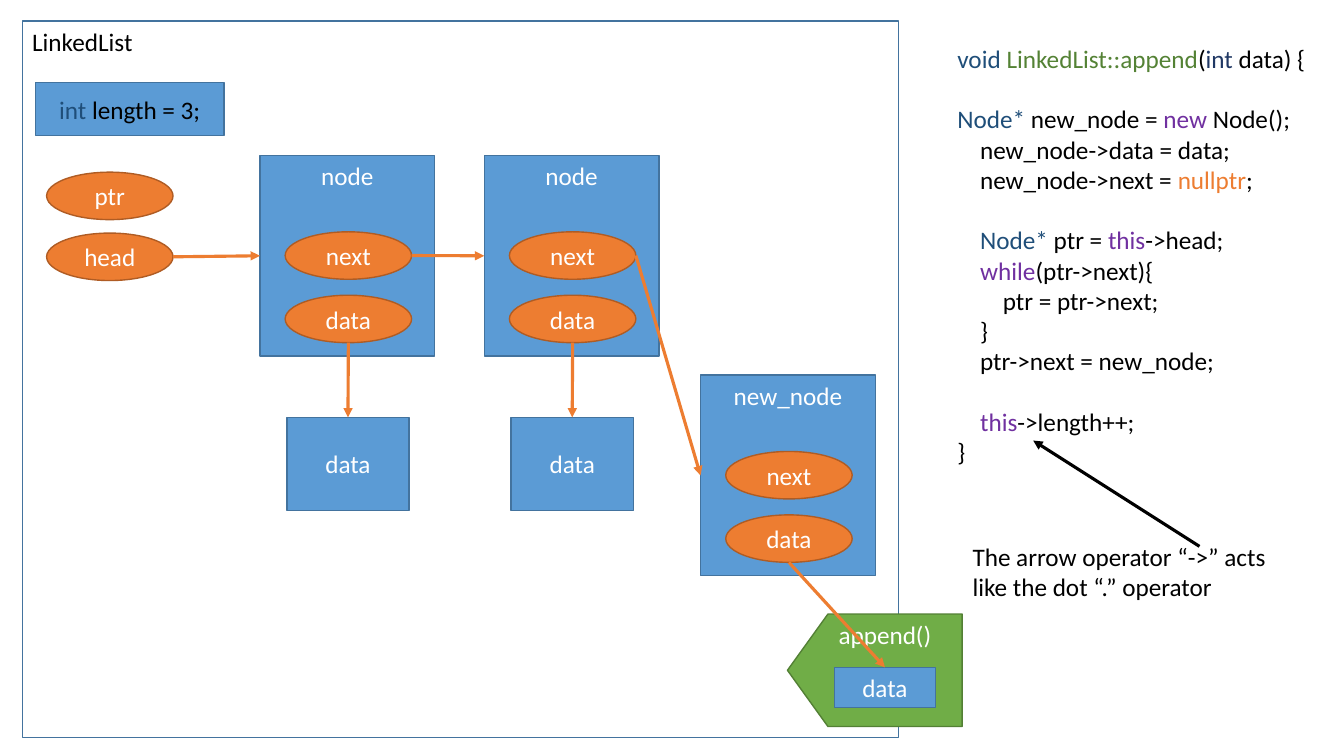
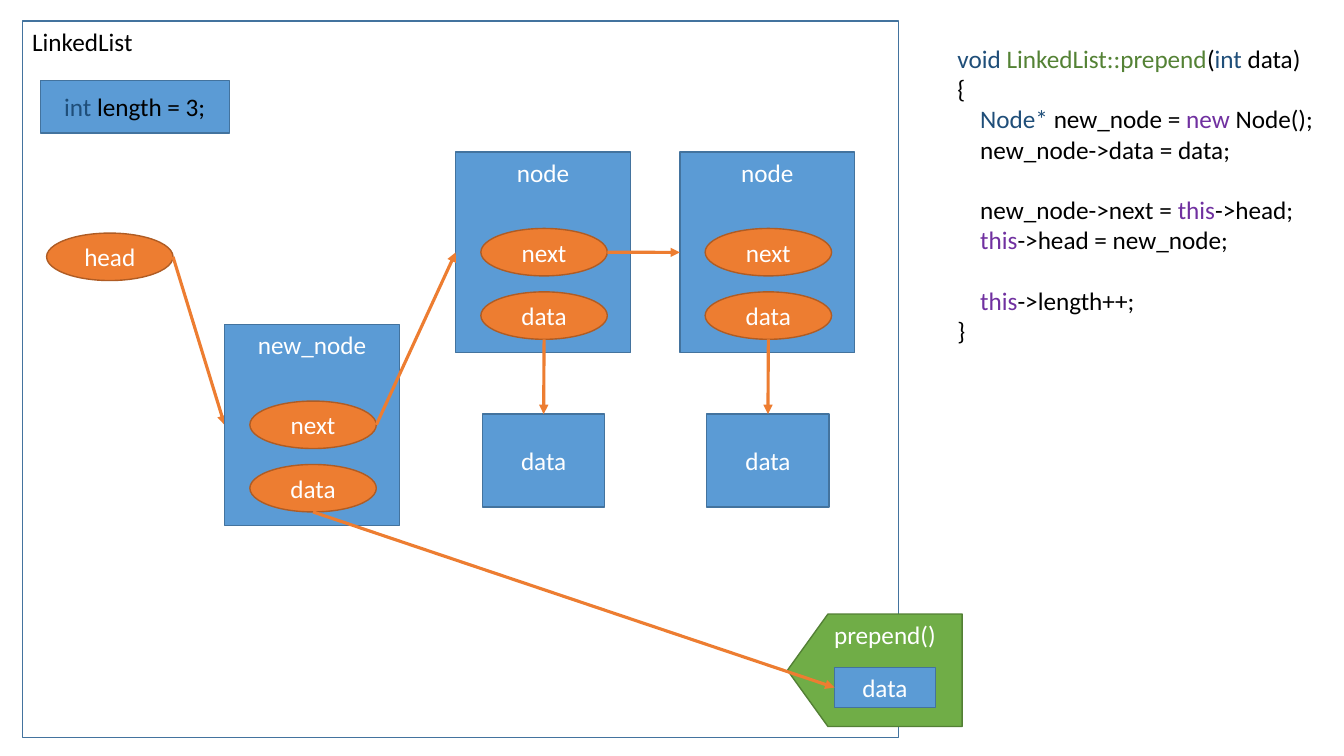
from dataclasses import dataclass
from typing import NamedTuple

from lxml.etree import SubElement
from pptx import Presentation
from pptx.dml.color import RGBColor
from pptx.enum.shapes import MSO_CONNECTOR, MSO_SHAPE
from pptx.enum.text import MSO_ANCHOR, MSO_AUTO_SIZE, PP_ALIGN
from pptx.oxml.ns import qn
from pptx.shapes.autoshape import Shape
from pptx.slide import Slide
from pptx.text.text import TextFrame
from pptx.util import Inches, Pt

SLIDE_WIDTH, SLIDE_HEIGHT = Inches(13.333), Inches(7.5)
COLUMNS, ROWS = 32, 18
FONT, TEXT_SIZE, CODE_GAP = "Calibri", Pt(18), Pt(21.6)
WHITE, BLACK = "FFFFFF", "000000"
BLUE, BLUE_EDGE = "5B9BD5", "43739E"
ORANGE, ORANGE_EDGE = "ED7D31", "AF5C24"
GREEN, GREEN_EDGE = "70AD47", "538035"
TYPE_BLUE, NAVY, METHOD_GREEN, KEYWORD_PURPLE = "1F4E79", "203864", "548235", "7030A0"
INDENT = "    "


class Point(NamedTuple):
    """A place on the grid, in columns and rows."""
    column: float
    row: float


class Run(NamedTuple):
    """A stretch of text in one colour."""
    text: str
    color: str = BLACK


class CodeLine(NamedTuple):
    """A line of code, with or without a gap above it."""
    runs: list[Run]
    gap: bool = False


@dataclass(frozen=True)
class Box:
    """A rectangle in columns and rows of the grid."""
    column: float
    row: float
    columns: float
    rows: float

    @property
    def left(self) -> Point:
        """Middle of the left edge."""
        return Point(self.column, self.row + self.rows / 2)

    @property
    def right(self) -> Point:
        """Middle of the right edge."""
        return Point(self.column + self.columns, self.row + self.rows / 2)

    @property
    def top(self) -> Point:
        """Middle of the top edge."""
        return Point(self.column + self.columns / 2, self.row)

    @property
    def bottom(self) -> Point:
        """Middle of the bottom edge."""
        return Point(self.column + self.columns / 2, self.row + self.rows)


@dataclass(frozen=True)
class Node:
    """A list node with its next and data pointers."""
    label: str
    column: float
    row: float

    @property
    def frame(self) -> Box:
        """Outline of the node."""
        return Box(self.column, self.row, 4.16, 4.78)

    @property
    def next(self) -> Box:
        """The next pointer."""
        return pointer_box(self.column + 0.6, self.row + 1.82)

    @property
    def data(self) -> Box:
        """The data pointer."""
        return pointer_box(self.column + 0.6, self.row + 3.33)

    @property
    def value(self) -> Box:
        """The data block below the node."""
        return Box(self.column + 0.64, self.row + 6.24, 2.91, 2.21)


def pointer_box(column: float, row: float) -> Box:
    """Box of a pointer ellipse."""
    return Box(column, row, 3.01, 1.13)


LIST_FRAME = Box(0.53, 0.5, 20.86, 17.06)
HEAD, POINTER = pointer_box(1.11, 5.55), pointer_box(1.11, 4.1)
CALL, ARGUMENT = Box(18.75, 14.62, 4.16, 2.68), Box(19.87, 15.89, 2.4, 0.96)
NODE_STEP = 5.34
INDENTED, THIS = Run(INDENT), Run("this", KEYWORD_PURPLE)
NODE_TYPE, NEW = Run("Node* ", TYPE_BLUE), Run("new", KEYWORD_PURPLE)
CREATE = [NODE_TYPE, Run("new_node = "), NEW, Run(" Node();")]
STORE = CodeLine([Run(INDENT + "new_node->data = data;")])
FINISH = [CodeLine([INDENTED, THIS, Run("->length++;")], gap=True), CodeLine([Run("}")])]


def signature(method: str, int_color: str, ending: str) -> CodeLine:
    """First line of a method of the list."""
    return CodeLine([Run("void ", TYPE_BLUE), Run(f"LinkedList::{method}", METHOD_GREEN),
                     Run("("), Run("int", int_color), Run(ending)])


APPEND_CODE = [
    signature("append", NAVY, " data) {"),
    CodeLine(CREATE, gap=True),
    STORE,
    CodeLine([Run(INDENT + "new_node->next = "), Run("nullptr", ORANGE), Run(";")]),
    CodeLine([INDENTED, NODE_TYPE, Run("ptr = "), THIS, Run("->head;")], gap=True),
    CodeLine([INDENTED, Run("while", KEYWORD_PURPLE), Run("(ptr->next){")]),
    CodeLine([Run(INDENT * 2 + "ptr = ptr->next;")]),
    CodeLine([Run(INDENT + "}")]),
    CodeLine([Run(INDENT + "ptr->next = new_node;")]),
    *FINISH,
]
PREPEND_CODE = [
    signature("prepend", TYPE_BLUE, " data)"),
    CodeLine([Run("{")]),
    CodeLine([INDENTED, *CREATE]),
    STORE,
    CodeLine([Run(INDENT + "new_node->next = "), THIS, Run("->head;")], gap=True),
    CodeLine([INDENTED, THIS, Run("->head = new_node;")]),
    *FINISH,
]


def rgb(color: str) -> RGBColor:
    """Colour from a hex string."""
    return RGBColor.from_string(color)


def across(columns: float) -> int:
    """Length of a number of columns."""
    return round(SLIDE_WIDTH * columns / COLUMNS)


def down(rows: float) -> int:
    """Length of a number of rows."""
    return round(SLIDE_HEIGHT * rows / ROWS)


def place(box: Box) -> tuple[int, int, int, int]:
    """Left, top, width and height of a box."""
    return across(box.column), down(box.row), across(box.columns), down(box.rows)


def write(frame: TextFrame, lines: list[CodeLine], align: PP_ALIGN = PP_ALIGN.LEFT) -> None:
    """Fill a text frame run by run."""
    for index, line in enumerate(lines):
        paragraph = frame.add_paragraph() if index else frame.paragraphs[0]
        paragraph.alignment = align
        if line.gap:
            paragraph.space_before = CODE_GAP
        for piece in line.runs:
            run = paragraph.add_run()
            run.text = piece.text
            run.font.name, run.font.size = FONT, TEXT_SIZE
            run.font.color.rgb = rgb(piece.color)


def add_block(slide: Slide, box: Box, runs: list[Run], kind: MSO_SHAPE = MSO_SHAPE.RECTANGLE,
              fill: str | None = BLUE, edge: str = BLUE_EDGE,
              anchor: MSO_ANCHOR = MSO_ANCHOR.MIDDLE,
              align: PP_ALIGN = PP_ALIGN.CENTER) -> Shape:
    """Draw a labelled shape."""
    shape = slide.shapes.add_shape(kind, *place(box))
    shape.shadow.inherit = False
    if fill:
        shape.fill.solid()
        shape.fill.fore_color.rgb = rgb(fill)
    else:
        shape.fill.background()
    shape.line.color.rgb = rgb(edge)
    shape.line.width = Pt(1)
    shape.text_frame.word_wrap = True
    shape.text_frame.vertical_anchor = anchor
    write(shape.text_frame, [CodeLine(runs)], align)
    return shape


def add_pointer(slide: Slide, box: Box, label: str) -> None:
    """Draw a pointer ellipse."""
    add_block(slide, box, [Run(label, WHITE)], MSO_SHAPE.OVAL, ORANGE, ORANGE_EDGE)


def add_arrow(slide: Slide, start: Point, end: Point, color: str = ORANGE) -> None:
    """Draw an arrow between two grid points."""
    connector = slide.shapes.add_connector(
        MSO_CONNECTOR.STRAIGHT, across(start.column), down(start.row),
        across(end.column), down(end.row))
    connector.line.color.rgb = rgb(color)
    connector.line.width = Pt(2.25)
    SubElement(connector.line._get_or_add_ln(), qn("a:tailEnd"), type="triangle")
    SubElement(connector._element.spPr, qn("a:effectLst"))


def add_node(slide: Slide, node: Node) -> None:
    """Draw a node and its two pointers."""
    add_block(slide, node.frame, [Run(node.label, WHITE)], anchor=MSO_ANCHOR.TOP)
    add_pointer(slide, node.data, "data")
    add_pointer(slide, node.next, "next")


def add_chain(slide: Slide, column: float, row: float) -> list[Node]:
    """Draw the two linked nodes with their data blocks."""
    nodes = [Node("node", column + index * NODE_STEP, row) for index in range(2)]
    for node in nodes:
        add_node(slide, node)
        add_block(slide, node.value, [Run("data", WHITE)])
        add_arrow(slide, node.data.bottom, node.value.top)
    add_arrow(slide, nodes[0].next.right, nodes[1].frame.left)
    return nodes


def add_text(slide: Slide, box: Box, lines: list[CodeLine], wrap: bool) -> None:
    """Draw a text box that grows with its text."""
    frame = slide.shapes.add_textbox(*place(box)).text_frame
    frame.word_wrap = wrap
    frame.auto_size = MSO_AUTO_SIZE.SHAPE_TO_FIT_TEXT
    write(frame, lines)


def add_call(slide: Slide, label: str) -> None:
    """Draw the method call with its argument."""
    plate = add_block(slide, CALL, [Run(label, WHITE)], MSO_SHAPE.PENTAGON, GREEN,
                      GREEN_EDGE, MSO_ANCHOR.TOP)
    plate.adjustments[0] = 0.36
    plate._element.spPr.xfrm.set("flipH", "1")
    add_block(slide, ARGUMENT, [Run("data", WHITE)])


def add_list_slide(presentation: Presentation, code: list[CodeLine], code_box: Box,
                   length: Point) -> Slide:
    """Add a slide with the list frame, its length, its head and the code."""
    slide = presentation.slides.add_slide(presentation.slide_layouts[6])
    add_block(slide, LIST_FRAME, [Run("LinkedList")], fill=None,
              anchor=MSO_ANCHOR.TOP, align=PP_ALIGN.LEFT)
    add_block(slide, Box(*length, 4.5, 1.25), [Run("int", TYPE_BLUE), Run(" length = 3;")])
    add_pointer(slide, HEAD, "head")
    add_text(slide, code_box, code, wrap=False)
    return slide


def add_append_slide(presentation: Presentation) -> None:
    """Show a node joining the end of the list."""
    slide = add_list_slide(presentation, APPEND_CODE, Box(22.56, 0.91, 8.88, 10.42),
                           Point(0.84, 1.97))
    add_pointer(slide, POINTER, "ptr")
    first, last = add_chain(slide, 6.19, 3.7)
    added = Node("new_node", 16.68, 8.93)
    add_node(slide, added)
    add_arrow(slide, HEAD.right, first.frame.left)
    add_arrow(slide, last.next.right, added.frame.left)
    note = "The arrow operator “->” acts like the dot “.” operator"
    add_text(slide, Box(22.92, 12.77, 7.46, 1.7), [CodeLine([Run(note)])], wrap=True)
    add_arrow(slide, Point(28.56, 13.01), Point(24.6, 10.49), BLACK)
    add_call(slide, "append()")
    add_arrow(slide, added.data.bottom, ARGUMENT.top)


def add_prepend_slide(presentation: Presentation) -> None:
    """Show a node joining the start of the list."""
    slide = add_list_slide(presentation, PREPEND_CODE, Box(22.56, 0.91, 9.07, 7.51),
                           Point(0.96, 1.92))
    first, _ = add_chain(slide, 10.85, 3.62)
    added = Node("new_node", 5.35, 7.73)
    add_arrow(slide, HEAD.right, added.frame.left)
    add_node(slide, added)
    add_arrow(slide, added.next.right, first.frame.left)
    add_call(slide, "prepend()")
    add_arrow(slide, added.data.bottom, ARGUMENT.left)


def main() -> None:
    """Build and save the presentation."""
    presentation = Presentation()
    presentation.slide_width, presentation.slide_height = SLIDE_WIDTH, SLIDE_HEIGHT
    add_append_slide(presentation)
    add_prepend_slide(presentation)
    presentation.save("out.pptx")


if __name__ == "__main__":
    main()
